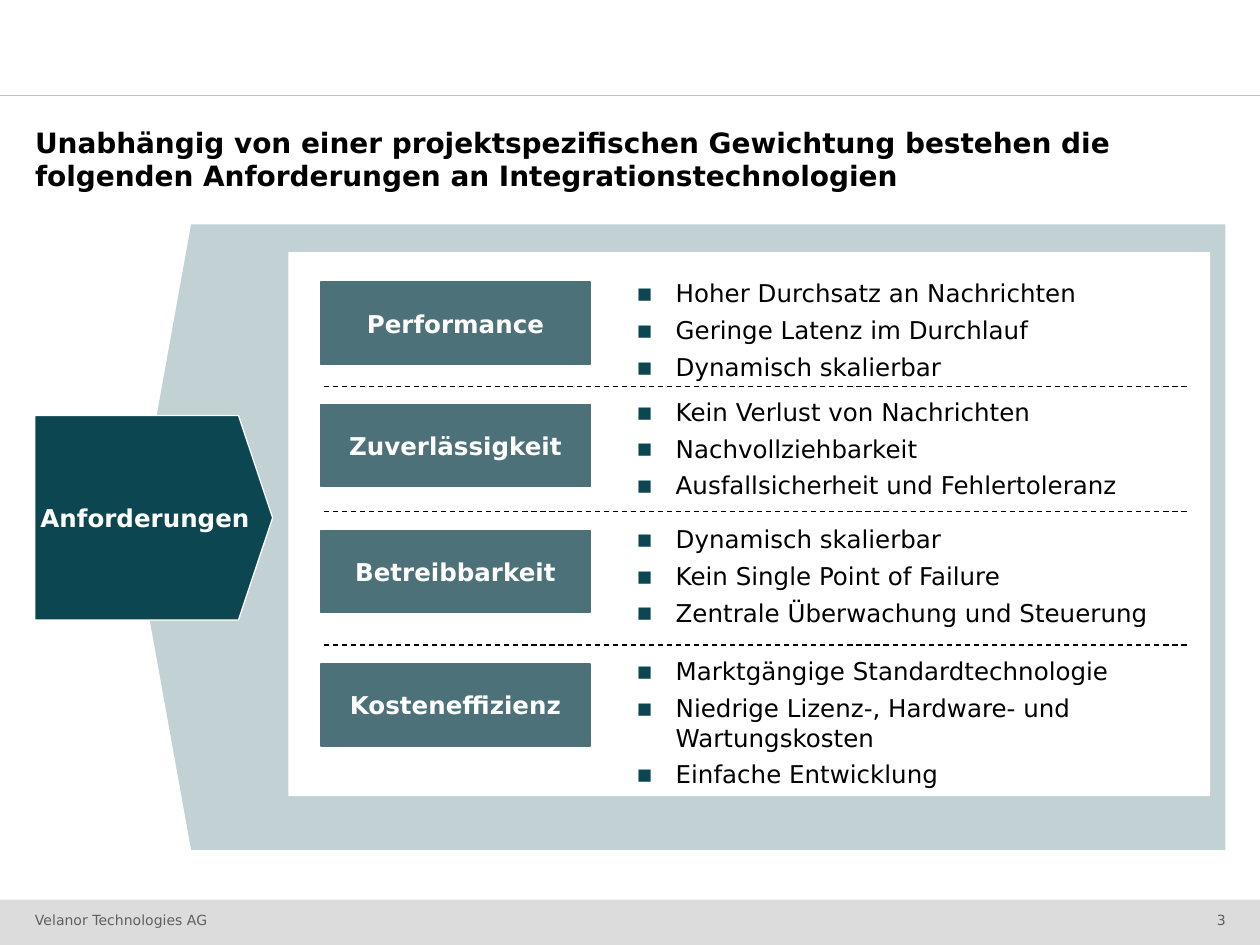
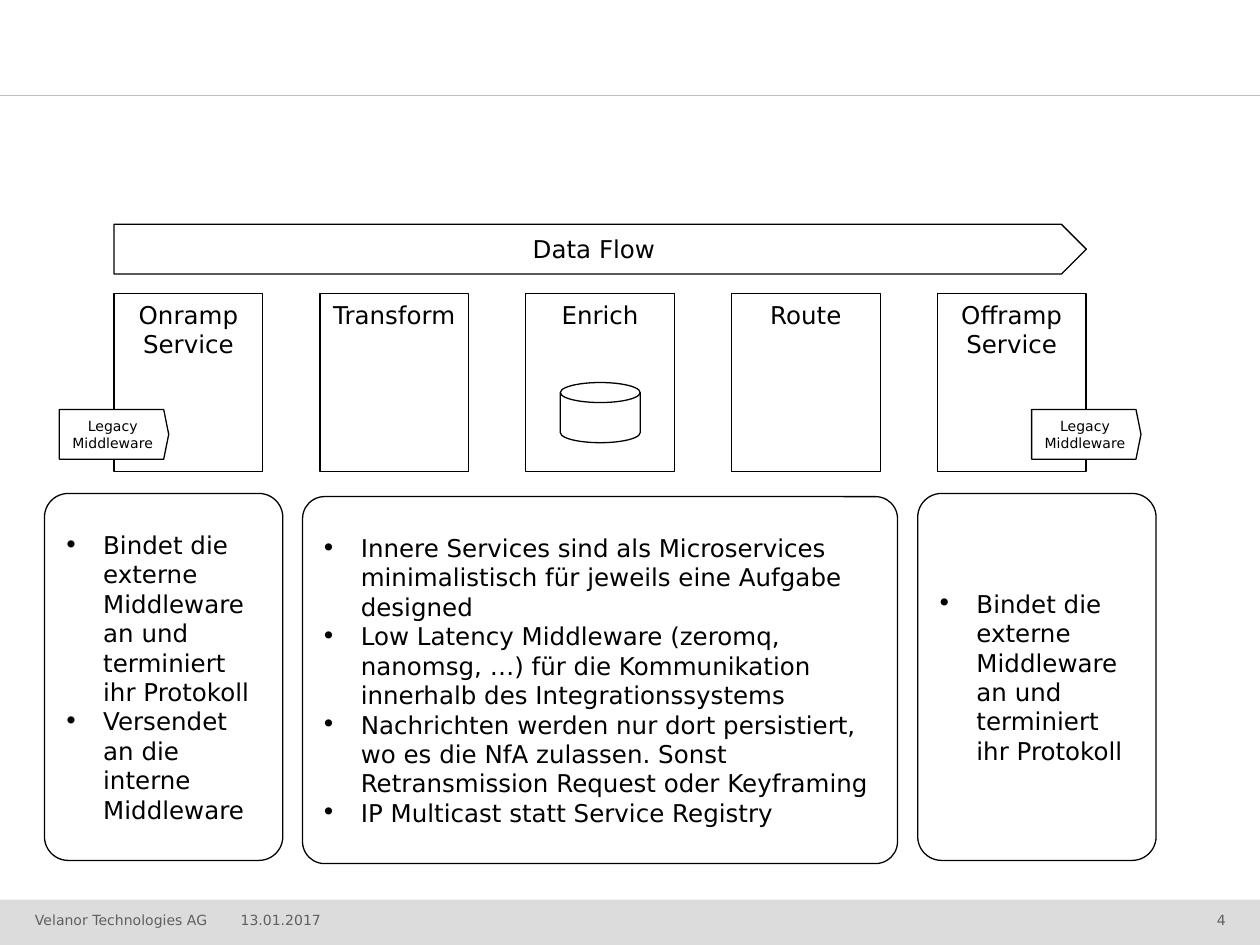
"""Build two slides: requirements for integration technologies and the data flow."""
from dataclasses import dataclass

import lxml.etree
import pptx
import pptx.dml.color
import pptx.enum.dml
import pptx.enum.shapes
import pptx.enum.text
import pptx.oxml.ns
import pptx.util

Pt = pptx.util.Pt
SHAPE = pptx.enum.shapes.MSO_SHAPE
ALIGN = pptx.enum.text.PP_ALIGN
ANCHOR = pptx.enum.text.MSO_ANCHOR
qn = pptx.oxml.ns.qn

FONT = "DejaVu Sans"
BLACK, WHITE = "000000", "FFFFFF"
PETROL, TEAL, MIST = "0C4650", "4D7178", "C2D1D3"
BAND, RULE, FOOTER = "DCDCDC", "BEBEBE", "5F5F5F"
BAND_TOP, BAND_HEIGHT = 514, 26
HANGING = 22.5


@dataclass(frozen=True)
class Requirement:
    label: str
    label_top: float
    list_top: float
    points: tuple[str, ...]
    rule_top: float | None = None


@dataclass(frozen=True)
class Note:
    left: float
    top: float
    width: float
    corner: float
    points: tuple[str, ...]


REQUIREMENTS = (
    Requirement("Performance", 161.2, 159.1, (
        "Hoher Durchsatz an Nachrichten", "Geringe Latenz im Durchlauf",
        "Dynamisch skalierbar"), 221),
    Requirement("Zuverlässigkeit", 231, 226.8, (
        "Kein Verlust von Nachrichten", "Nachvollziehbarkeit",
        "Ausfallsicherheit und Fehlertoleranz"), 292.3),
    Requirement("Betreibbarkeit", 303.1, 299.5, (
        "Dynamisch skalierbar", "Kein Single Point of Failure",
        "Zentrale Überwachung und Steuerung"), 368.6),
    Requirement("Kosteneffizienz", 379.4, 375.1, (
        "Marktgängige Standardtechnologie",
        "Niedrige Lizenz-, Hardware- und Wartungskosten",
        "Einfache Entwicklung")),
)

ADAPTER_TASK = "Bindet die externe Middleware an und terminiert ihr Protokoll"
NOTES = (
    Note(25.4, 282, 136.2, 0.1, (
        ADAPTER_TASK, "Versendet an die interne Middleware")),
    Note(172.9, 283.8, 340, 0.06, (
        "Innere Services sind als Microservices minimalistisch für jeweils "
        "eine Aufgabe designed",
        "Low Latency Middleware (zeromq, nanomsg, …) für die Kommunikation "
        "innerhalb des Integrationssystems",
        "Nachrichten werden nur dort persistiert, wo es die NfA zulassen. "
        "Sonst Retransmission Request oder Keyframing",
        "IP Multicast statt Service Registry")),
    Note(524.4, 282, 136.2, 0.1, (ADAPTER_TASK,)),
)
STAGES = (("Onramp", "Service"), ("Transform",), ("Enrich",), ("Route",),
          ("Offramp Service",))


def colour(value: str) -> pptx.dml.color.RGBColor:
    """Turn a hex string into a colour."""
    return pptx.dml.color.RGBColor.from_string(value)


def add_bullet(paragraph, sign: str, tint: str) -> None:
    """Give a paragraph a hanging indent and a bullet sign."""
    properties = paragraph._p.get_or_add_pPr()
    properties.set("marL", str(Pt(HANGING)))
    properties.set("indent", str(-Pt(HANGING)))
    fill = lxml.etree.SubElement(properties, qn("a:buClr"))
    lxml.etree.SubElement(fill, qn("a:srgbClr"), val=tint)
    lxml.etree.SubElement(properties, qn("a:buFont"), typeface=FONT)
    lxml.etree.SubElement(properties, qn("a:buChar"), char=sign)


def write(shape, lines, *, size: float = 14, tint: str = BLACK, bold: bool = False,
          align=ALIGN.LEFT, anchor=ANCHOR.TOP, insets=(7.2, 3.6, 7.2, 3.6),
          wrap: bool = True, bullet: str = "", bullet_tint: str = BLACK,
          gap: float = 0) -> None:
    """Fill a shape with one paragraph per line."""
    frame = shape.text_frame
    frame.word_wrap = wrap
    frame.vertical_anchor = anchor
    (frame.margin_left, frame.margin_top,
     frame.margin_right, frame.margin_bottom) = map(Pt, insets)
    for index, line in enumerate(lines):
        paragraph = frame.add_paragraph() if index else frame.paragraphs[0]
        paragraph.alignment = align
        paragraph.space_before = Pt(gap if index else 0)
        if bullet:
            add_bullet(paragraph, bullet, bullet_tint)
        run = paragraph.add_run()
        run.text = line
        run.font.name = FONT
        run.font.size = Pt(size)
        run.font.bold = bold
        run.font.color.rgb = colour(tint)


def add_box(slide, kind, left: float, top: float, width: float, height: float, *,
            fill: str = WHITE, line: str | None = BLACK, adjust: float | None = None):
    """Draw a filled preset shape without a shadow."""
    box = slide.shapes.add_shape(kind, Pt(left), Pt(top), Pt(width), Pt(height))
    box.shadow.inherit = False
    box.fill.solid()
    box.fill.fore_color.rgb = colour(fill)
    if line:
        box.line.color.rgb = colour(line)
        box.line.width = Pt(0.75)
    else:
        box.line.fill.background()
    if adjust is not None:
        box.adjustments[0] = adjust
    return box


def add_text(slide, left: float, top: float, width: float, height: float, lines,
             **text_format) -> None:
    """Place a text box without insets unless the format sets them."""
    area = slide.shapes.add_textbox(Pt(left), Pt(top), Pt(width), Pt(height))
    write(area, lines, **{"insets": (0, 0, 0, 0), **text_format})


def add_rule(slide, left: float, right: float, top: float, tint: str,
             dashed: bool = False) -> None:
    """Draw a thin horizontal line."""
    rule = slide.shapes.add_connector(
        pptx.enum.shapes.MSO_CONNECTOR.STRAIGHT, Pt(left), Pt(top), Pt(right), Pt(top))
    rule.line.color.rgb = colour(tint)
    rule.line.width = Pt(0.75)
    if dashed:
        rule.line.dash_style = pptx.enum.dml.MSO_LINE.DASH
    lxml.etree.SubElement(rule._element.spPr, qn("a:effectLst"))


def add_footer(slide, left: float, width: float, text: str, align=ALIGN.LEFT) -> None:
    """Write a small text into the footer band."""
    add_text(slide, left, BAND_TOP, width, BAND_HEIGHT, [text], size=8, tint=FOOTER,
             align=align, anchor=ANCHOR.BOTTOM, insets=(0, 0, 0, 10))


def start_slide(deck, number: int, date: str = ""):
    """Add a slide with the header line and the footer band."""
    slide = deck.slides.add_slide(deck.slide_layouts[6])
    add_box(slide, SHAPE.RECTANGLE, 0, BAND_TOP, 720, BAND_HEIGHT, fill=BAND, line=None)
    add_footer(slide, 20, 108, "Velanor Technologies AG")
    add_rule(slide, 0, 720, 54.6, RULE)
    if date:
        add_footer(slide, 137.5, 58, date)
    add_footer(slide, 649.4, 51, str(number), ALIGN.RIGHT)
    return slide


def add_requirement(slide, item: Requirement) -> None:
    """Draw a labelled requirement with its points and separator."""
    add_text(slide, 363.6, item.list_top, 314, 65, item.points,
             bullet="▪", bullet_tint=PETROL, gap=4.2)
    label = add_box(slide, SHAPE.RECTANGLE, 183.4, item.label_top, 153.8, 47,
                    fill=TEAL, line=TEAL)
    write(label, [item.label], tint=WHITE, bold=True, align=ALIGN.CENTER,
          anchor=ANCHOR.MIDDLE, insets=(5.7, 5.7, 5.7, 5.7))
    if item.rule_top:
        add_rule(slide, 185, 678.2, item.rule_top, BLACK, dashed=True)


def build_requirements(deck) -> None:
    """Build the slide with the four requirements."""
    slide = start_slide(deck, 3)
    backdrop = add_box(slide, SHAPE.PENTAGON, 77, 128.2, 623.2, 357.4,
                       fill=MIST, line=None, adjust=0.09)
    backdrop.rotation = 180
    add_text(slide, 20, 71.5, 680, 40, [
        "Unabhängig von einer projektspezifischen Gewichtung bestehen die "
        "folgenden Anforderungen an Integrationstechnologien"], size=16, bold=True)
    topic = add_box(slide, SHAPE.PENTAGON, 19.8, 237.4, 136, 116.9,
                    fill=PETROL, line=WHITE, adjust=0.167)
    write(topic, ["Anforderungen"], tint=WHITE, bold=True, align=ALIGN.CENTER,
          anchor=ANCHOR.MIDDLE, wrap=False)
    add_box(slide, SHAPE.RECTANGLE, 164.8, 144, 526.8, 311, line=None)
    for item in REQUIREMENTS:
        add_requirement(slide, item)


def build_data_flow(deck) -> None:
    """Build the slide with the service chain and its notes."""
    slide = start_slide(deck, 4, "13.01.2017")
    first_left, step = 65.2, 117.6
    for index, lines in enumerate(STAGES):
        stage = add_box(slide, SHAPE.RECTANGLE, first_left + index * step, 167.7, 85, 102)
        write(stage, lines, align=ALIGN.CENTER, insets=(4, 3.6, 4, 3.6))
    add_box(slide, SHAPE.FLOWCHART_MAGNETIC_DISK, 320.2, 218.6, 45.6, 34.4)
    for left in (33.9, 589.5):
        legacy = add_box(slide, SHAPE.PENTAGON, left, 234, 62.5, 28.4, adjust=0.1)
        write(legacy, ["Legacy Middleware"], size=8, align=ALIGN.CENTER,
              anchor=ANCHOR.MIDDLE, insets=(5, 3.6, 5, 3.6))
    flow = add_box(slide, SHAPE.PENTAGON, first_left, 128.2, 555.6, 28.4, adjust=0.5)
    write(flow, ["Data Flow"], align=ALIGN.CENTER, anchor=ANCHOR.MIDDLE)
    for note in NOTES:
        panel = add_box(slide, SHAPE.ROUNDED_RECTANGLE, note.left, note.top,
                        note.width, 209.7, adjust=note.corner)
        write(panel, note.points, anchor=ANCHOR.MIDDLE, bullet="•")


def main() -> None:
    """Create the deck and save it."""
    deck = pptx.Presentation()
    deck.slide_width, deck.slide_height = Pt(720), Pt(540)
    build_requirements(deck)
    build_data_flow(deck)
    deck.save("out.pptx")


main()
